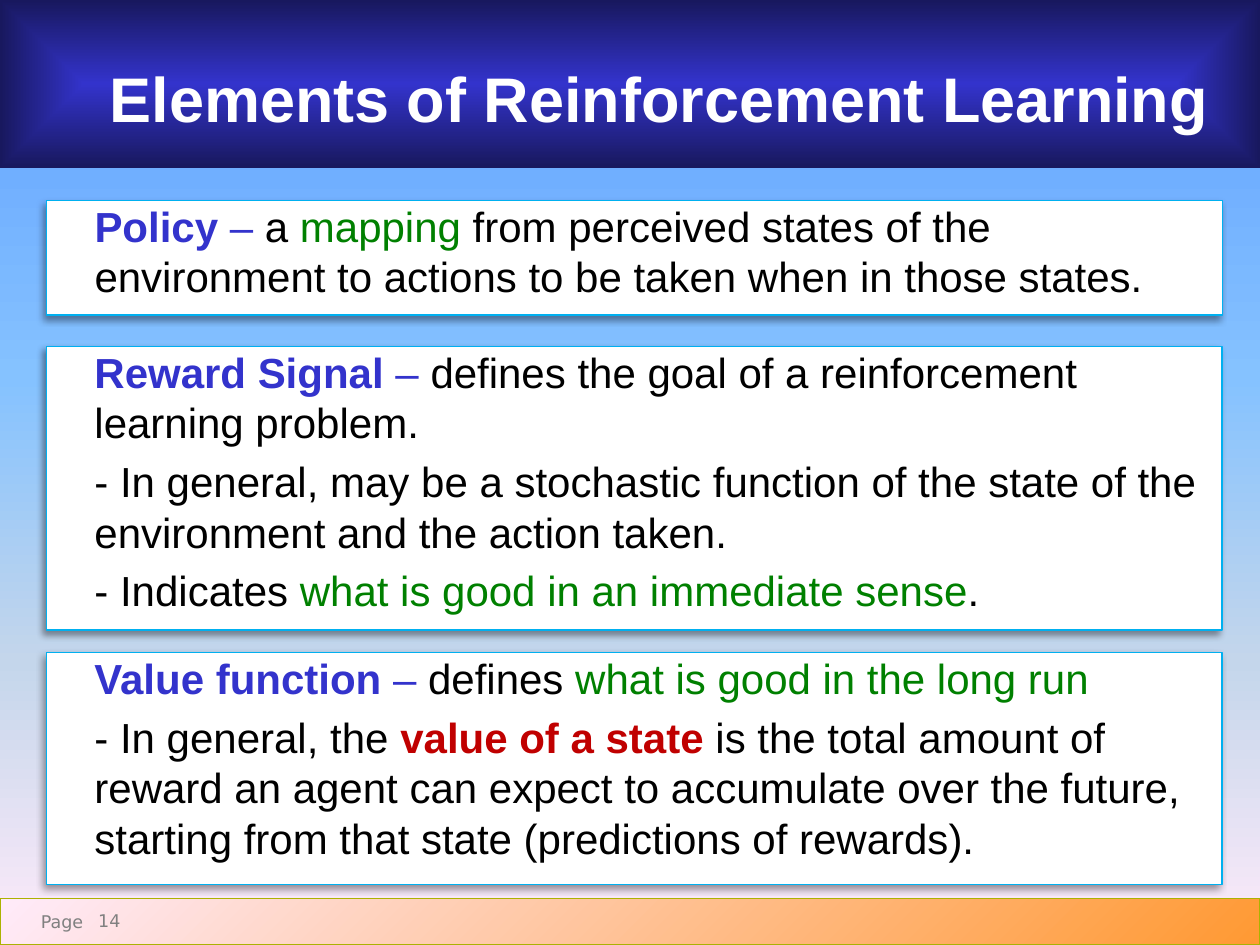
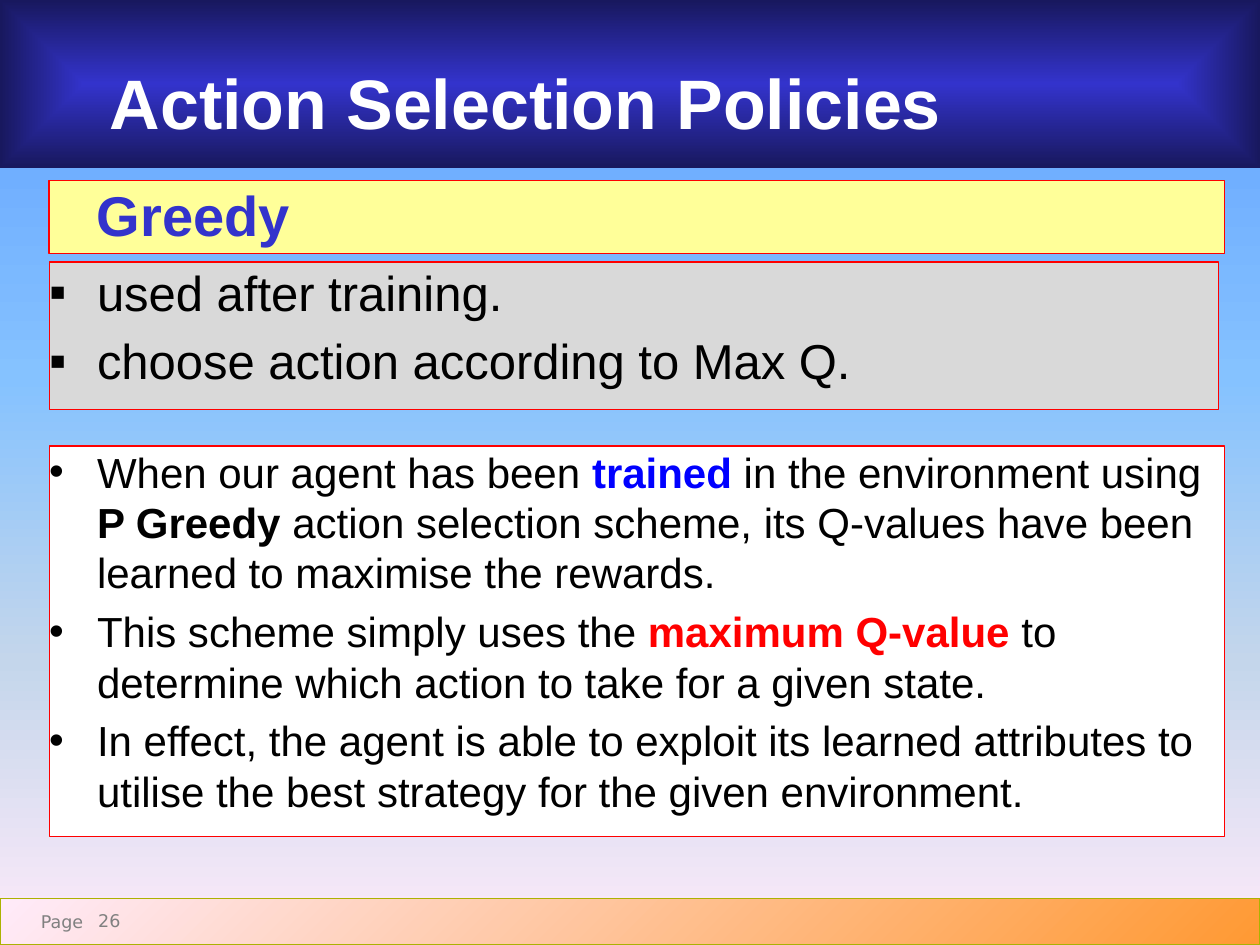
from lxml import etree
from pptx import Presentation
from pptx.dml.color import RGBColor
from pptx.enum.shapes import MSO_SHAPE
from pptx.enum.text import MSO_ANCHOR, MSO_AUTO_SIZE, PP_ALIGN
from pptx.oxml.ns import qn
from pptx.util import Inches, Pt

RECTANGLE = MSO_SHAPE.RECTANGLE
TOP = MSO_ANCHOR.TOP
NO_AUTOFIT = MSO_AUTO_SIZE.NONE
LEFT, RIGHT = PP_ALIGN.LEFT, PP_ALIGN.RIGHT

BLACK = RGBColor(0x00, 0x00, 0x00)
WHITE = RGBColor(0xFF, 0xFF, 0xFF)
INDIGO = RGBColor(0x33, 0x33, 0xCC)
NAVY = RGBColor(0x18, 0x18, 0x5E)
BLUE = RGBColor(0x00, 0x00, 0xFF)
CYAN = RGBColor(0x00, 0xB0, 0xF0)
GREEN = RGBColor(0x00, 0x80, 0x00)
RED = RGBColor(0xFF, 0x00, 0x00)
DARK_RED = RGBColor(0xC0, 0x00, 0x00)
GRAY = RGBColor(0x80, 0x80, 0x80)
LIGHT_GRAY = RGBColor(0xD9, 0xD9, 0xD9)
YELLOW = RGBColor(0xFF, 0xFF, 0x99)
PINK = RGBColor(0xFF, 0xEB, 0xFA)
ORANGE = RGBColor(0xFF, 0x99, 0x33)
OLIVE = RGBColor(0xAB, 0xB2, 0x02)
SKY_STOPS = [(0, RGBColor(0x5E, 0x9E, 0xFF)), (40, RGBColor(0x85, 0xC2, 0xFF)),
             (70, RGBColor(0xC4, 0xD6, 0xEB)), (100, PINK)]

TEXT_FONT = "Arial"
FOOTER_FONT = "DejaVu Sans"
CARD_LEFT, CARD_WIDTH = 0.37, 9.33
LIST_LEFT = 0.39
INDENT = Inches(0.38)


def add_element(parent, tag, **attributes):
    return etree.SubElement(parent, qn(tag), {name: str(value) for name, value in attributes.items()})


def set_gradient(fill, owner, stops, angle=None):
    fill.gradient()
    gradient = next(owner.iter(qn("a:gradFill")))
    for child in list(gradient):
        gradient.remove(child)
    stop_list = add_element(gradient, "a:gsLst")
    for position, color in stops:
        stop = add_element(stop_list, "a:gs", pos=position * 1000)
        add_element(stop, "a:srgbClr", val=color)
    if angle is None:
        center = add_element(gradient, "a:path", path="shape")
        add_element(center, "a:fillToRect", l=50000, t=50000, r=50000, b=50000)
    else:
        add_element(gradient, "a:lin", ang=angle * 60000, scaled=0)


class Deck:
    def __init__(self):
        self.presentation = Presentation()
        self.presentation.slide_width = Inches(10)
        self.presentation.slide_height = Inches(7.5)
        master = self.presentation.slide_master
        set_gradient(master.background.fill, master.element, SKY_STOPS, 90)
        self.slide = None

    def add_slide(self, title, title_size, page):
        self.slide = self.presentation.slides.add_slide(self.presentation.slide_layouts[1])
        self.title(title, title_size)
        self.footer(page)

    def place(self, shape, left, top, width, height):
        shape.left, shape.top = Inches(left), Inches(top)
        shape.width, shape.height = Inches(width), Inches(height)

    def prepare_frame(self, shape, left=0, top=0):
        frame = shape.text_frame
        frame.margin_left, frame.margin_top = Inches(left), Inches(top)
        frame.margin_right = frame.margin_bottom = 0
        frame.vertical_anchor = TOP
        frame.auto_size = NO_AUTOFIT
        frame.word_wrap = True
        return frame

    def format_font(self, font, size, color, bold=False, name=TEXT_FONT):
        font.name, font.size, font.bold = name, Pt(size), bold
        font.color.rgb = color

    def title(self, text, size):
        shape = self.slide.shapes.title
        self.place(shape, 0, 0, 10, 1.33)
        set_gradient(shape.fill, shape.element, [(0, INDIGO), (100, NAVY)])
        frame = self.prepare_frame(shape, 0.87, 0.47)
        frame.text = text
        paragraph = frame.paragraphs[0]
        paragraph.alignment = LEFT
        self.format_font(paragraph.runs[0].font, size, WHITE, True)

    def footer(self, page):
        band = self.rectangle(0, 7.13, 10, 0.37)
        set_gradient(band.fill, band.element, [(0, PINK), (100, ORANGE)], 45)
        self.outline(band, OLIVE)
        self.footer_text("Page", 0.27, 7.23, 0.39, 0.17, RIGHT)
        self.footer_text(str(page), 0.78, 7.22, 0.33, 0.23, LEFT)

    def footer_text(self, text, left, top, width, height, alignment):
        box = self.slide.shapes.add_textbox(Inches(left), Inches(top), Inches(width), Inches(height))
        frame = self.prepare_frame(box)
        frame.text = text
        paragraph = frame.paragraphs[0]
        paragraph.alignment = alignment
        self.format_font(paragraph.runs[0].font, 10, GRAY, name=FOOTER_FONT)

    def rectangle(self, left, top, width, height):
        shape = self.slide.shapes.add_shape(RECTANGLE, Inches(left), Inches(top), Inches(width), Inches(height))
        shape.shadow.inherit = False
        return shape

    def outline(self, shape, color):
        shape.line.color.rgb = color
        shape.line.width = Pt(0.75)

    def drop_shadow(self, shape):
        shape.shadow.inherit = False
        effects = next(shape.element.iter(qn("a:effectLst")))
        shadow = add_element(effects, "a:outerShdw", blurRad=Pt(4), dist=Pt(3),
                             dir=135 * 60000, algn="tr", rotWithShape=0)
        color = add_element(shadow, "a:srgbClr", val=BLACK)
        add_element(color, "a:alpha", val=40000)

    def panel(self, bounds, paragraphs, fill=WHITE, line=RED, size=24, bullet=None, body=False, shadow=False):
        if body:
            shape = self.slide.placeholders[1]
            self.place(shape, *bounds)
        else:
            shape = self.rectangle(*bounds)
        shape.fill.solid()
        shape.fill.fore_color.rgb = fill
        self.outline(shape, line)
        if shadow:
            self.drop_shadow(shape)
        frame = self.prepare_frame(shape)
        for index, pieces in enumerate(paragraphs):
            paragraph = frame.add_paragraph() if index else frame.paragraphs[0]
            paragraph.alignment = LEFT
            paragraph.space_before = Pt(size * 0.2 if index else 0)
            self.set_bullet(paragraph, bullet)
            for text, color, bold in pieces:
                run = paragraph.add_run()
                run.text = text
                self.format_font(run.font, size, color, bold)

    def set_bullet(self, paragraph, bullet):
        properties = paragraph._p.get_or_add_pPr()
        properties.set("marL", str(INDENT))
        properties.set("indent", str(-INDENT if bullet else 0))
        if bullet:
            add_element(properties, "a:buFont", typeface=TEXT_FONT)
            add_element(properties, "a:buChar", char=bullet)
        else:
            add_element(properties, "a:buNone")

    def card(self, top, height, paragraphs, body=False):
        self.panel((CARD_LEFT, top, CARD_WIDTH, height), paragraphs, line=CYAN, body=body, shadow=True)


def plain(text):
    return text, BLACK, False


def strong(text, color=BLACK):
    return text, color, True


def key_idea(text):
    return text, GREEN, False


def term(text):
    return [strong(text, INDIGO), (" – ", INDIGO, False)]


def build_elements(deck):
    deck.add_slide("Elements of Reinforcement Learning", 36, 14)
    deck.card(1.59, 0.91, [
        [*term("Policy"), plain("a "), key_idea("mapping"),
         plain(" from perceived states of the environment to actions to be taken when in those states.")],
    ], body=True)
    deck.card(2.75, 2.25, [
        [*term("Reward Signal"), plain("defines the goal of a reinforcement learning problem.")],
        [plain("- In general, may be a stochastic function of the state of the environment and the action taken.")],
        [plain("- Indicates "), key_idea("what is good in an immediate sense"), plain(".")],
    ])
    deck.card(5.18, 1.84, [
        [*term("Value function"), plain("defines "), key_idea("what is good in the long run")],
        [plain("- In general, the "), strong("value of a state ", DARK_RED),
         plain("is the total amount of reward an agent can expect to accumulate over the future, "
               "starting from that state (predictions of rewards).")],
    ])


def build_policies(deck):
    deck.add_slide("Action Selection Policies", 40, 26)
    deck.panel((LIST_LEFT, 3.54, CARD_WIDTH, 3.1), [
        [plain("When our agent has been "), strong("trained", BLUE), plain(" in the environment using "),
         strong("P Greedy "),
         plain("action selection scheme, its Q-values have been learned to maximise the rewards.")],
        [plain("This scheme simply uses the "), strong("maximum Q-value ", RED),
         plain("to determine which action to take for a given state.")],
        [plain("In effect, the agent is able to exploit its learned attributes to utilise "
               "the best strategy for the given environment.")],
    ], bullet="•", body=True)
    deck.panel((LIST_LEFT, 1.43, CARD_WIDTH, 0.58), [[strong("Greedy", INDIGO)]], fill=YELLOW, size=32)
    deck.panel((LIST_LEFT, 2.08, 9.28, 1.17), [
        [plain("used after training.")],
        [plain("choose action according to Max Q.")],
    ], fill=LIGHT_GRAY, size=28, bullet="▪")


def main():
    deck = Deck()
    build_elements(deck)
    build_policies(deck)
    deck.presentation.save("out.pptx")


if __name__ == "__main__":
    main()
